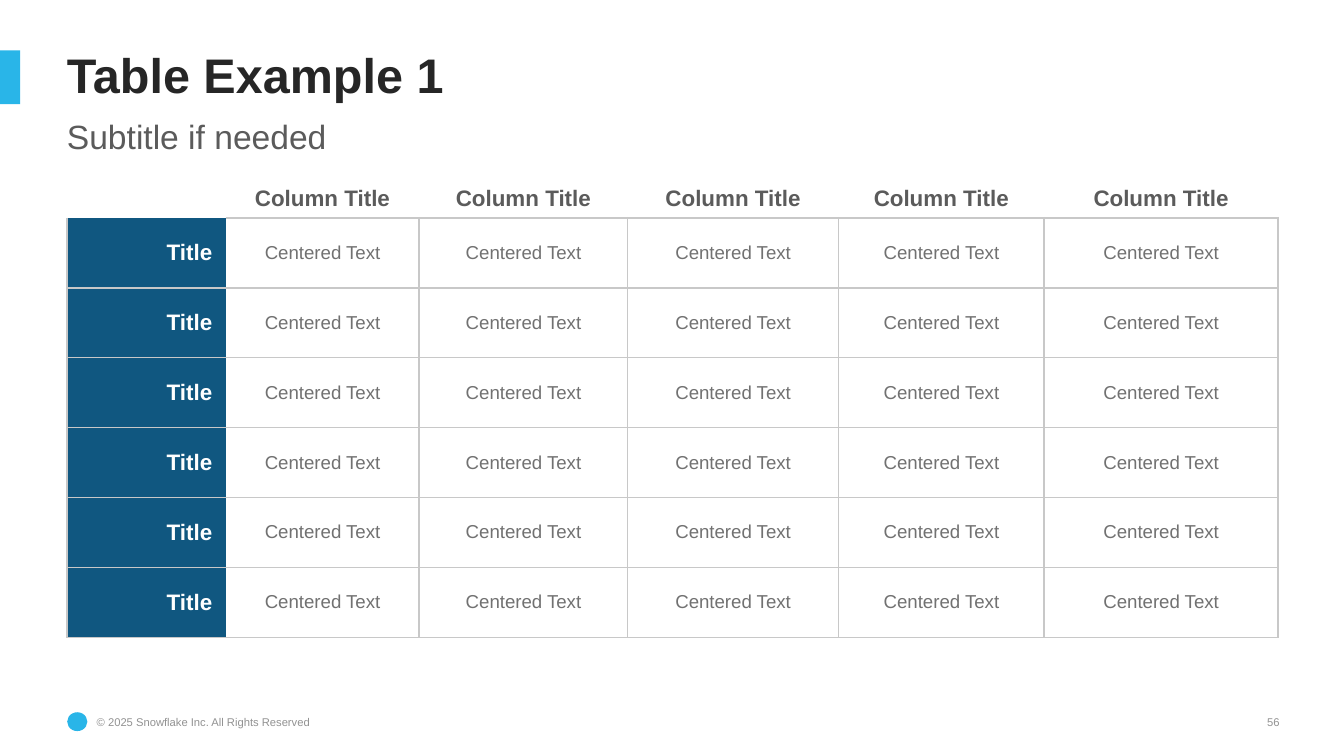
from pptx import Presentation
from pptx.dml.color import RGBColor
from pptx.enum.shapes import MSO_SHAPE
from pptx.enum.text import MSO_ANCHOR, PP_ALIGN
from pptx.oxml.ns import qn
from pptx.util import Pt
from lxml import etree

RECTANGLE, OVAL = MSO_SHAPE.RECTANGLE, MSO_SHAPE.OVAL
LEFT, CENTER, RIGHT = PP_ALIGN.LEFT, PP_ALIGN.CENTER, PP_ALIGN.RIGHT
TOP, MIDDLE, BOTTOM = MSO_ANCHOR.TOP, MSO_ANCHOR.MIDDLE, MSO_ANCHOR.BOTTOM

TITLE = "Table Example 1"
SUBTITLE = "Subtitle if needed"
COPYRIGHT = "© 2025 Snowflake Inc. All Rights Reserved"
PAGE_NUMBER = "56"
HEADER = [""] + ["Column Title"] * 5
BODY = [["Title"] + ["Centered Text"] * 5 for _ in range(6)]

TABLE_LEFT, TABLE_TOP = 36, 79.2
COLUMN_WIDTHS = [84.96, 103.68, 111.6, 113.04, 110.16, 125.28]
ROW_HEIGHT = 37.5


class Theme:
    font = "Arial"
    accent, row_title, white = "29B5E8", "105780", "FFFFFF"
    title, subtitle, body, footer, border = "262626", "5B5B5B", "717171", "929292", "C8C8C8"
    title_size, subtitle_size, heading_size, body_size, footer_size = 26, 18, 12, 10, 6
    border_width = 1


def write_text(frame, text, *, size, color, bold=False, align=LEFT, line_spacing=1.0, space_after=0):
    paragraph = frame.paragraphs[0]
    paragraph.alignment = align
    paragraph.line_spacing = line_spacing
    paragraph.space_after = Pt(space_after)
    run = paragraph.add_run()
    run.text = text
    run.font.name = Theme.font
    run.font.size = Pt(size)
    run.font.bold = bold
    run.font.color.rgb = RGBColor.from_string(color)


def add_text_box(slide, box, text, *, inset=0, anchor=TOP, **text_format):
    frame = slide.shapes.add_textbox(*map(Pt, box)).text_frame
    frame.word_wrap = True
    frame.vertical_anchor = anchor
    frame.margin_left = frame.margin_right = frame.margin_top = frame.margin_bottom = Pt(inset)
    write_text(frame, text, **text_format)


def add_accent_shape(slide, kind, box):
    shape = slide.shapes.add_shape(kind, *map(Pt, box))
    shape.shadow.inherit = False
    shape.fill.solid()
    shape.fill.fore_color.rgb = RGBColor.from_string(Theme.accent)
    shape.line.fill.background()


def set_borders(cell, visible_sides):
    """Draw the sides named by letter (L, R, T, B) and clear the others."""
    properties = cell._tc.get_or_add_tcPr()
    for side in "LRTB":
        line = etree.SubElement(properties, qn(f"a:ln{side}"), w=str(Pt(Theme.border_width)))
        if side in visible_sides:
            fill = etree.SubElement(line, qn("a:solidFill"))
            etree.SubElement(fill, qn("a:srgbClr"), val=Theme.border)
        else:
            etree.SubElement(line, qn("a:noFill"))


def format_cell(cell, text, *, borders, fill, anchor, **text_format):
    set_borders(cell, borders)
    cell.fill.solid()
    cell.fill.fore_color.rgb = RGBColor.from_string(fill)
    cell.vertical_anchor = anchor
    cell.margin_left = cell.margin_right = Pt(7.2)
    cell.margin_top = cell.margin_bottom = Pt(3.6)
    if text:
        write_text(cell.text_frame, text, **text_format)


def cell_style(row, column):
    if row == 0:
        return dict(borders="B" if column else "", fill=Theme.white, anchor=BOTTOM, align=CENTER,
                    size=Theme.heading_size, color=Theme.subtitle, bold=True)
    if column == 0:
        return dict(borders="LB" if row == 1 else "LTB", fill=Theme.row_title, anchor=MIDDLE,
                    align=RIGHT, size=Theme.heading_size, color=Theme.white, bold=True)
    return dict(borders="RTB" if column == 1 else "LRTB", fill=Theme.white, anchor=MIDDLE,
                align=CENTER, size=Theme.body_size, color=Theme.body)


def add_table(slide):
    rows = [HEADER] + BODY
    table = slide.shapes.add_table(
        len(rows), len(HEADER), Pt(TABLE_LEFT), Pt(TABLE_TOP),
        Pt(sum(COLUMN_WIDTHS)), Pt(ROW_HEIGHT * len(rows))).table
    table.first_row = table.horz_banding = False
    for column, width in zip(table.columns, COLUMN_WIDTHS):
        column.width = Pt(width)
    for row_index, texts in enumerate(rows):
        table.rows[row_index].height = Pt(ROW_HEIGHT)
        for column_index, text in enumerate(texts):
            format_cell(table.cell(row_index, column_index), text,
                        **cell_style(row_index, column_index))


def main():
    presentation = Presentation()
    presentation.slide_width, presentation.slide_height = Pt(720), Pt(405)
    slide = presentation.slides.add_slide(presentation.slide_layouts[6])

    add_accent_shape(slide, OVAL, (36, 381.6, 10.8, 10.1))
    footer = dict(size=Theme.footer_size, color=Theme.footer)
    add_text_box(slide, (51.84, 383, 132.5, 7.2), COPYRIGHT, **footer)
    add_accent_shape(slide, RECTANGLE, (0, 27, 10.8, 28.8))
    add_text_box(slide, (28.8, 21.6, 657.4, 28.8), TITLE, inset=7.2, size=Theme.title_size,
                 color=Theme.title, bold=True, line_spacing=0.85, space_after=10)
    add_table(slide)
    add_text_box(slide, (648, 383, 37.44, 7.2), PAGE_NUMBER, anchor=BOTTOM, align=RIGHT, **footer)
    add_text_box(slide, (28.8, 51.84, 657.4, 28.8), SUBTITLE, inset=7.2, size=Theme.subtitle_size,
                 color=Theme.subtitle, line_spacing=1.15, space_after=10)
    presentation.save("out.pptx")


if __name__ == "__main__":
    main()
